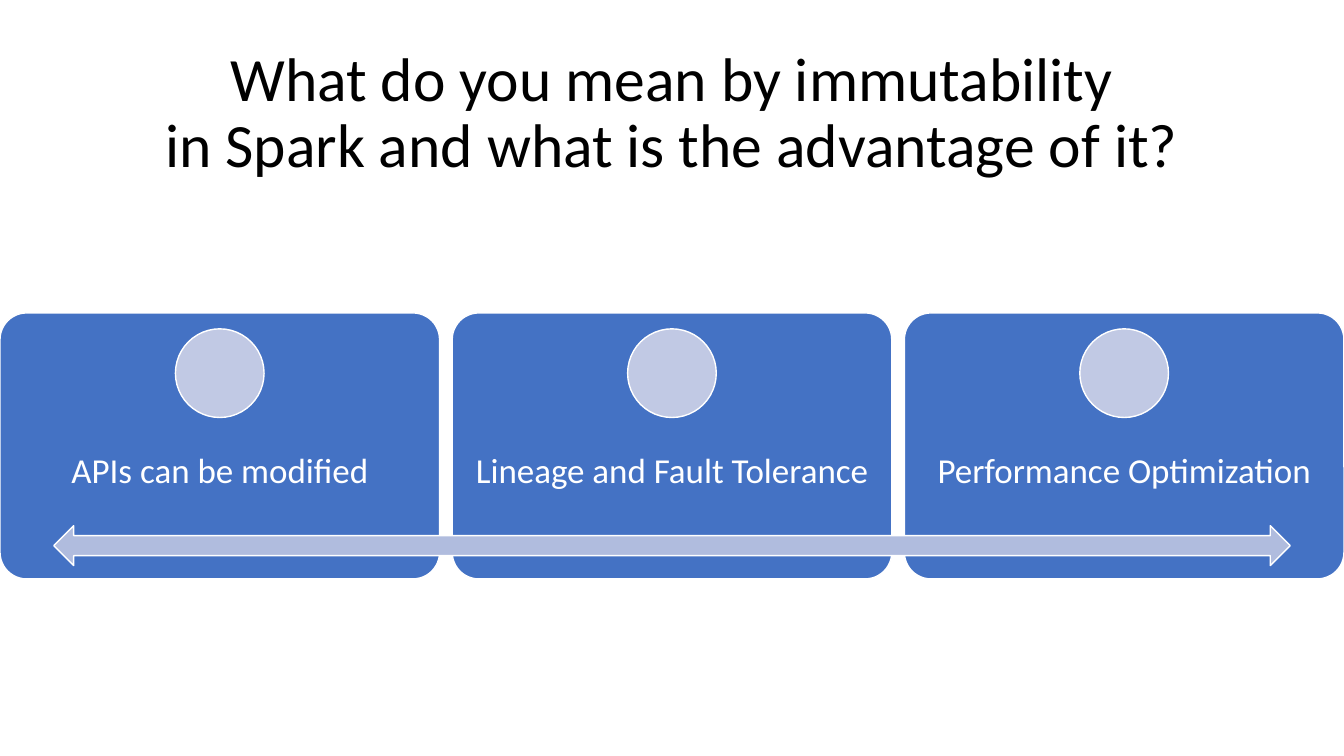
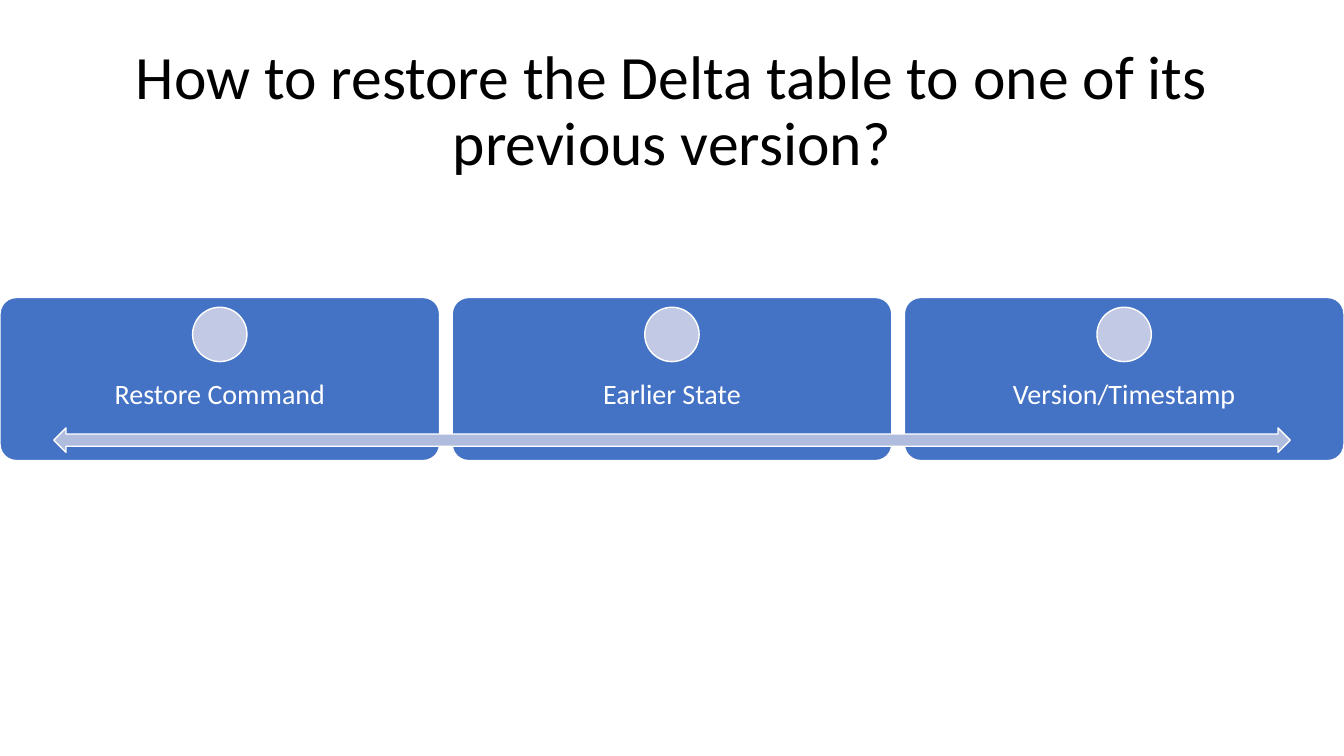
from pptx import Presentation
from pptx.dml.color import RGBColor
from pptx.enum.shapes import MSO_SHAPE
from pptx.enum.text import MSO_ANCHOR, PP_ALIGN
from pptx.util import Pt

CARD, DOT, ARROW = MSO_SHAPE.ROUNDED_RECTANGLE, MSO_SHAPE.OVAL, MSO_SHAPE.LEFT_RIGHT_ARROW
MIDDLE, CENTER = MSO_ANCHOR.MIDDLE, PP_ALIGN.CENTER
FILLS = {CARD: "4472C4", DOT: "C1C9E4", ARROW: "B0BCDE"}
WHITE, BLACK = "FFFFFF", "000000"
FONT = "Calibri"
WIDTH, HEIGHT = 960, 540
GAP = 9
CARD_W = (WIDTH - 2 * GAP) / 3

SLIDES = [
    {
        "title": "What do you mean by immutability\nin Spark and what is the advantage of it?",
        "depth": 164, "top": 223.5, "high": 190, "size": 25, "inset": 13.5,
        "labels": ["APIs can be modified", "Lineage and Fault Tolerance",
                   "Performance Optimization"],
    },
    {
        "title": "How to restore the Delta table to one of its\nprevious version?",
        "depth": 160.5, "top": 212.5, "high": 116.5, "size": 20, "inset": 11.5,
        "labels": ["Restore Command", "Earlier State", "Version/Timestamp"],
    },
]


def add_form(slide, kind, x, y, w, h):
    """Draw a filled shape with a thin white outline."""
    form = slide.shapes.add_shape(kind, Pt(x), Pt(y), Pt(w), Pt(h))
    form.shadow.inherit = False
    form.fill.solid()
    form.fill.fore_color.rgb = RGBColor.from_string(FILLS[kind])
    form.line.color.rgb = RGBColor.from_string(WHITE)
    form.line.width = Pt(1)
    return form


def add_text(slide, text, x, y, w, h, size, color, inset=(7.2, 3.6)):
    """Add centred text; inset gives the side and the top/bottom margins."""
    frame = slide.shapes.add_textbox(Pt(x), Pt(y), Pt(w), Pt(h)).text_frame
    frame.word_wrap = True
    frame.vertical_anchor = MIDDLE
    frame.margin_left = frame.margin_right = Pt(inset[0])
    frame.margin_top = frame.margin_bottom = Pt(inset[1])
    para = frame.paragraphs[0]
    para.text = text
    para.alignment = CENTER
    para.line_spacing = 0.9
    for run in para.runs:
        run.font.name = FONT
        run.font.size = Pt(size)
        run.font.color.rgb = RGBColor.from_string(color)


deck = Presentation()
deck.slide_width, deck.slide_height = Pt(WIDTH), Pt(HEIGHT)

for page in SLIDES:
    slide = deck.slides.add_slide(deck.slide_layouts[6])
    add_text(slide, page["title"], 0, 0, WIDTH, page["depth"], 44, BLACK)

    top, high, inset = page["top"], page["high"], page["inset"]
    dot = high / 3
    for col, label in enumerate(page["labels"]):
        left = col * (CARD_W + GAP)
        card = add_form(slide, CARD, left, top, CARD_W, high)
        card.adjustments[0] = 0.1
        add_text(slide, label, left, top + 0.4 * high, CARD_W, 0.4 * high,
                 page["size"], WHITE, (inset, inset))
        add_form(slide, DOT, left + (CARD_W - dot) / 2, top + 0.06 * high, dot, dot)

    add_form(slide, ARROW, 0.04 * WIDTH, top + 0.8 * high, 0.92 * WIDTH, 0.15 * high)

deck.save("out.pptx")
